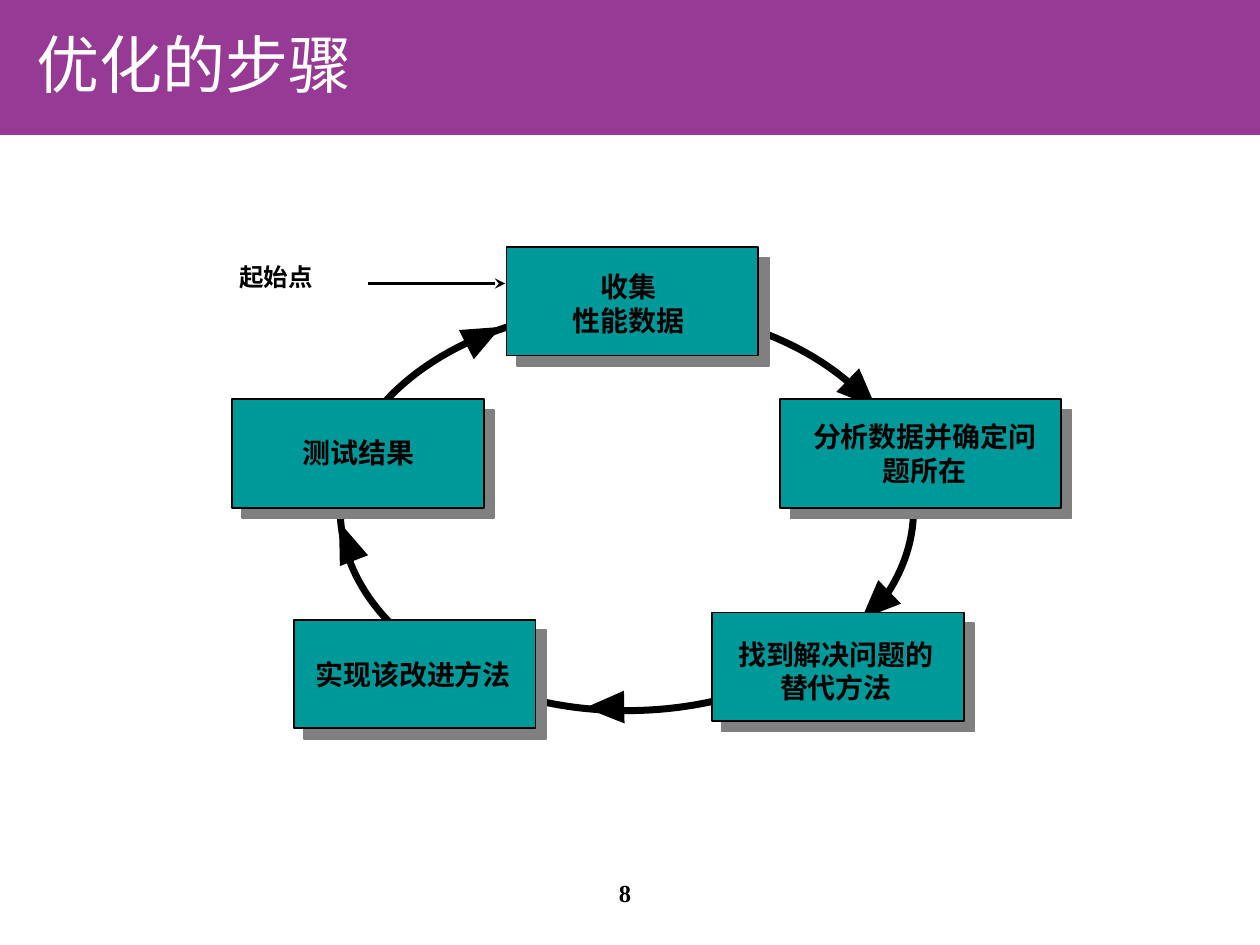
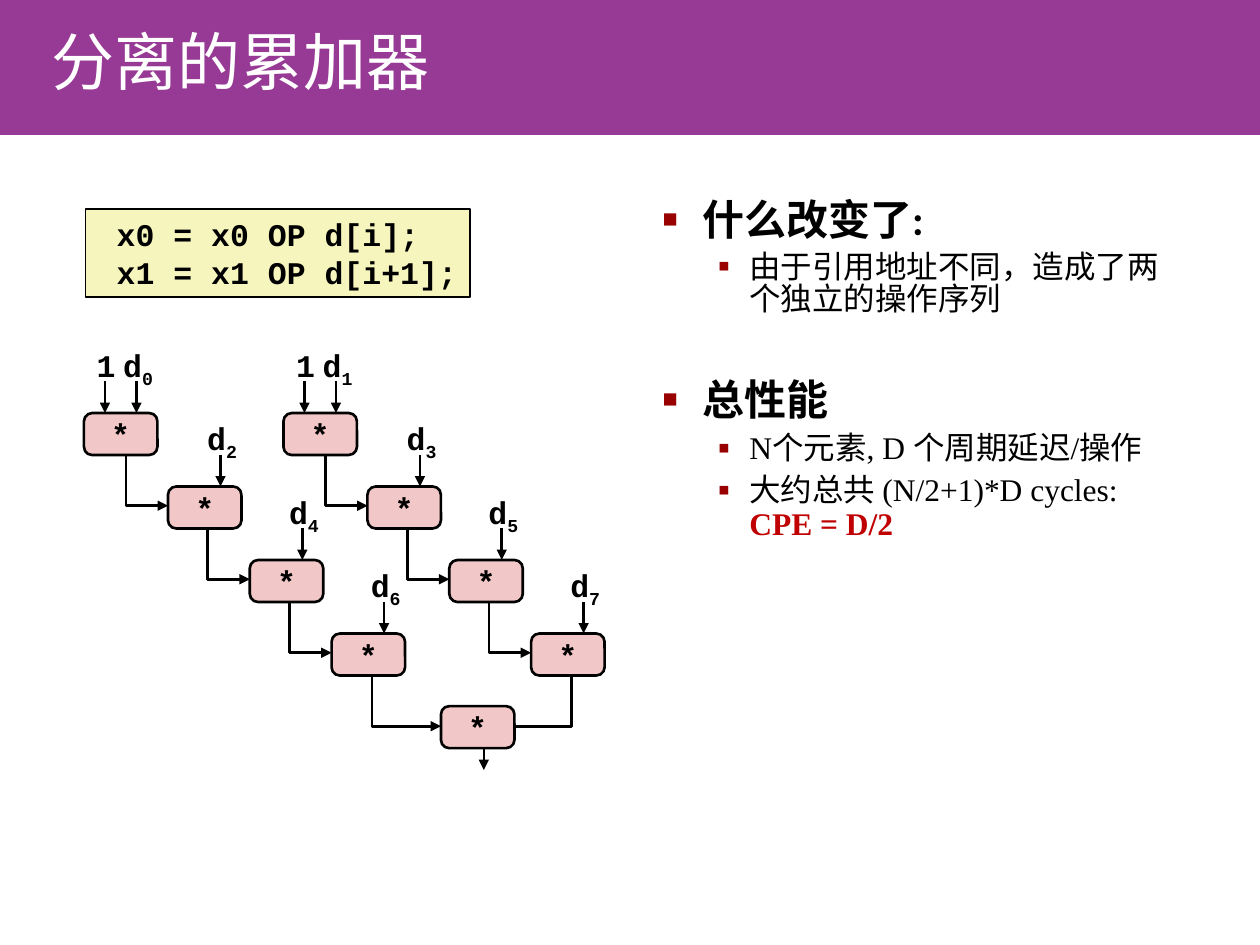
from dataclasses import dataclass
from typing import NamedTuple

from lxml import etree
from pptx import Presentation
from pptx.dml.color import RGBColor
from pptx.enum.shapes import MSO_CONNECTOR, MSO_SHAPE
from pptx.enum.text import MSO_ANCHOR, MSO_AUTO_SIZE, PP_ALIGN
from pptx.oxml.ns import qn
from pptx.util import Pt

LEFT, CENTER = PP_ALIGN.LEFT, PP_ALIGN.CENTER
TOP, MIDDLE = MSO_ANCHOR.TOP, MSO_ANCHOR.MIDDLE
RECTANGLE, ROUNDED = MSO_SHAPE.RECTANGLE, MSO_SHAPE.ROUNDED_RECTANGLE
OVAL, TRIANGLE = MSO_SHAPE.OVAL, MSO_SHAPE.ISOSCELES_TRIANGLE
STRAIGHT = MSO_CONNECTOR.STRAIGHT
NO_AUTOFIT = MSO_AUTO_SIZE.NONE

COLORS = {
    "band": "973A95", "white": "FFFFFF", "black": "000000", "step": "009999",
    "shadow": "808080", "node": "F1C7C7", "code": "F6F5BD",
    "bullet": "990000", "accent": "C00000",
}
HAN, SANS, SERIF, MONO = "Noto Sans CJK SC", "Arial", "Times New Roman", "Courier New"
TITLE_ONLY, TITLE_AND_BODY = 5, 1

NODE_WIDTH, NODE_HEIGHT, LEVEL_STEP, FIRST_LEVEL = 42, 24, 42, 236
LEVEL_LEFTS = (48, 96, 142.75, 189.5)
CHAIN_SHIFT = 114
INPUT_X, INPUT_LENGTH, ELBOW_X, ELBOW_Y = 30, 18, 24, 11


class Frame(NamedTuple):
    left: float
    top: float
    width: float
    height: float


class Point(NamedTuple):
    x: float
    y: float


@dataclass
class Step:
    frame: Frame
    label: Frame
    lines: tuple[str, ...]


@dataclass
class ArrowHead:
    frame: Frame
    rotation: float


@dataclass
class Bullet:
    text: str
    font: str
    level: int
    spacing: float
    before: float
    accent: str = ""


@dataclass
class BulletStyle:
    margin: float
    indent: float
    mark: str
    percent: int
    size: float


BULLET_STYLES = (BulletStyle(22.5, -22.5, "■", 60, 24), BulletStyle(49.5, -18, "▪", 110, 18))

STEPS = (
    Step(Frame(445.7, 228.2, 160.6, 62), Frame(452.9, 236.2, 151.2, 45.4), ("分析数据并确定问题所在",)),
    Step(Frame(132.5, 228.2, 144, 62), Frame(144.7, 245.5, 120.2, 26.6), ("测试结果",)),
    Step(Frame(167.8, 354.2, 138.2, 62), Frame(166.3, 372.2, 139.7, 26.6), ("实现该改进方法",)),
    Step(Frame(406.8, 350, 144, 62), Frame(413.7, 360.7, 128, 45.4), ("找到解决问题的替代方法",)),
    Step(Frame(289.4, 141.1, 144, 62), Frame(290.2, 150.5, 137.5, 45.4), ("收集", "性能数据")),
)
ARROW_HEADS = (
    ArrowHead(Frame(267.1, 180.7, 18.7, 22.3), 63),
    ArrowHead(Frame(189.4, 297.4, 17.3, 23.8), 339),
    ArrowHead(Frame(491, 334.8, 18.7, 22.3), 226),
    ArrowHead(Frame(336.2, 393.1, 18.7, 22.3), 269),
    ArrowHead(Frame(483.1, 213.8, 18.7, 22.3), 134),
)
BULLETS = (
    Bullet("什么改变了:", "Calibri", 0, 0.85, 0),
    Bullet("由于引用地址不同，造成了两个独立的操作序列", HAN, 1, 0.85, 4.5),
    Bullet("总性能", "Calibri", 0, 0.85, 37),
    Bullet("N个元素, D 个周期延迟/操作", SERIF, 1, 0.9, 4.5),
    Bullet("大约总共 (N/2+1)*D cycles:", SERIF, 1, 0.9, 4.5, "CPE = D/2"),
)


def rgb(name: str) -> RGBColor:
    return RGBColor.from_string(COLORS[name])


def points(frame: Frame) -> list:
    return [Pt(value) for value in frame]


def write_text(paragraph, text: str, *, font: str, size: float, color: str = "black",
               bold: bool = True, align=None, baseline: int = 0) -> None:
    if align is not None:
        paragraph.alignment = align
    run = paragraph.add_run()
    run.text = text
    run.font.name, run.font.size, run.font.bold = font, Pt(size), bold
    run.font.color.rgb = rgb(color)
    properties = run._r.get_or_add_rPr()
    etree.SubElement(properties, qn("a:ea"), typeface=HAN)
    if baseline:
        properties.set("baseline", str(baseline))


def set_frame(text_frame, wrap: bool, anchor=TOP, side: float = 7.2) -> None:
    text_frame.auto_size = NO_AUTOFIT
    text_frame.word_wrap = wrap
    text_frame.vertical_anchor = anchor
    text_frame.margin_left = text_frame.margin_right = Pt(side)
    text_frame.margin_top = text_frame.margin_bottom = Pt(3.6)


def write_lines(text_frame, lines: tuple[str, ...], **style) -> None:
    for index, line in enumerate(lines):
        paragraph = text_frame.add_paragraph() if index else text_frame.paragraphs[0]
        write_text(paragraph, line, **style)


def add_label(slide, frame: Frame, lines: tuple[str, ...], wrap: bool = True,
              side: float = 7.2, **style):
    text_frame = slide.shapes.add_textbox(*points(frame)).text_frame
    set_frame(text_frame, wrap, side=side)
    write_lines(text_frame, lines, align=CENTER, **style)
    return text_frame


def style_line(line, width: float, arrow: str = "") -> None:
    line.color.rgb = rgb("black")
    line.width = Pt(width)
    if arrow:
        etree.SubElement(line._get_or_add_ln(), qn("a:tailEnd"), type=arrow)


def draw_shape(slide, kind, frame: Frame, fill: str = "", line_width: float = 0):
    shape = slide.shapes.add_shape(kind, *points(frame))
    shape.shadow.inherit = False
    if fill:
        shape.fill.solid()
        shape.fill.fore_color.rgb = rgb(fill)
    else:
        shape.fill.background()
    if line_width:
        style_line(shape.line, line_width)
    else:
        shape.line.fill.background()
    return shape


def draw_arrow(slide, start: Point, end: Point, width: float = 1.5, head: str = "triangle") -> None:
    connector = slide.shapes.add_connector(STRAIGHT, *[Pt(value) for value in (*start, *end)])
    style_line(connector.line, width, head)
    etree.SubElement(connector._element.spPr, qn("a:effectLst"))


def draw_elbow(slide, start: Point, end: Point, head: str = "triangle") -> None:
    builder = slide.shapes.build_freeform(Pt(start.x), Pt(start.y))
    corner = Point(start.x, end.y)
    builder.add_line_segments([(Pt(point.x), Pt(point.y)) for point in (corner, end)], close=False)
    elbow = builder.convert_to_shape()
    elbow.shadow.inherit = False
    elbow.fill.background()
    style_line(elbow.line, 1.5, head)


def add_titled_slide(presentation, layout: int, title: str, frame: Frame):
    slide = presentation.slides.add_slide(presentation.slide_layouts[layout])
    band = draw_shape(slide, RECTANGLE, Frame(0, -0.7, 720, 77.8), "band")
    placeholder = slide.shapes.title
    placeholder.element.addprevious(band.element)
    placeholder.left, placeholder.top, placeholder.width, placeholder.height = points(frame)
    set_frame(placeholder.text_frame, True, MIDDLE)
    write_lines(placeholder.text_frame, (title,), font=HAN, size=36, color="white", bold=False, align=LEFT)
    return slide


def draw_step(slide, step: Step) -> None:
    box = draw_shape(slide, RECTANGLE, step.frame, "step", 1)
    shadow = etree.SubElement(box._element.spPr.find(qn("a:effectLst")), qn("a:outerShdw"),
                              dist=str(Pt(8.5)), dir="2700000", algn="ctr", rotWithShape="0")
    etree.SubElement(shadow, qn("a:srgbClr"), val=COLORS["shadow"])
    add_label(slide, step.label, step.lines, font=SANS, size=16)


def build_cycle(presentation) -> None:
    slide = add_titled_slide(presentation, TITLE_ONLY, "优化的步骤", Frame(13.7, 9.4, 472.3, 54))
    add_label(slide, Frame(282.2, 498.2, 149.8, 36), ("8",), font=SERIF, size=14)
    draw_shape(slide, OVAL, Frame(194.4, 176.4, 327.6, 229.7), line_width=4)
    for head in ARROW_HEADS:
        draw_shape(slide, TRIANGLE, head.frame, "black").rotation = head.rotation
    for step in STEPS:
        draw_step(slide, step)
    add_label(slide, Frame(108, 146.2, 99.4, 23.8), ("起始点",), font=SANS, size=14)
    draw_arrow(slide, Point(210.2, 162), Point(288.7, 162), 2, "stealth")


def draw_node(slide, left: float, top: float) -> None:
    node = draw_shape(slide, ROUNDED, Frame(left, top, NODE_WIDTH, NODE_HEIGHT), "node", 1.5)
    node.adjustments[0] = 0.196
    set_frame(node.text_frame, False, MIDDLE)
    write_lines(node.text_frame, ("*",), font=MONO, size=18, align=CENTER)


def draw_input(slide, x: float, bottom: float) -> None:
    draw_arrow(slide, Point(x, bottom - INPUT_LENGTH), Point(x, bottom))


def draw_chain(slide, chain: int) -> None:
    lefts = [left + chain * CHAIN_SHIFT for left in LEVEL_LEFTS]
    for level, left in enumerate(lefts):
        top = FIRST_LEVEL + level * LEVEL_STEP
        draw_node(slide, left, top)
        draw_input(slide, left + INPUT_X, top)
        operand = add_label(slide, Frame(left + 18.7, top - 42, 24.5, 31.7), ("d",), False, 3.6,
                            font=MONO, size=18)
        write_text(operand.paragraphs[0], str(2 * level + chain), font=MONO, size=18, baseline=-25000)
        if level:
            start = Point(left - ELBOW_X, top - LEVEL_STEP + NODE_HEIGHT)
            draw_elbow(slide, start, Point(left, top + ELBOW_Y))
        else:
            draw_input(slide, left + 12, top)
            add_label(slide, Frame(left + 3.6, top - 42, 18, 28.8), ("1",), False, 3.6,
                      font=MONO, size=18)


def draw_merge(slide) -> None:
    left, top = 252, 403.5
    chain_bottom = FIRST_LEVEL + 3 * LEVEL_STEP + NODE_HEIGHT
    exit_x = LEVEL_LEFTS[-1] + 23
    draw_arrow(slide, Point(276.5, 422), Point(276.5, 440))
    draw_elbow(slide, Point(exit_x, chain_bottom), Point(left, 415))
    draw_elbow(slide, Point(exit_x + CHAIN_SHIFT, chain_bottom), Point(left + NODE_WIDTH, 415), "")
    draw_node(slide, left, top)


def write_bullet(paragraph, bullet: Bullet) -> None:
    style = BULLET_STYLES[bullet.level]
    paragraph.level = bullet.level
    paragraph.line_spacing = bullet.spacing
    paragraph.space_before = Pt(bullet.before)
    properties = paragraph._p.get_or_add_pPr()
    properties.set("marL", str(Pt(style.margin)))
    properties.set("indent", str(Pt(style.indent)))
    color = etree.SubElement(properties, qn("a:buClr"))
    etree.SubElement(color, qn("a:srgbClr"), val=COLORS["bullet"])
    etree.SubElement(properties, qn("a:buSzPct"), val=str(style.percent * 1000))
    etree.SubElement(properties, qn("a:buChar"), char=style.mark)
    write_text(paragraph, bullet.text, font=bullet.font, size=style.size, bold=bullet.level == 0)
    if bullet.accent:
        paragraph.add_line_break()
        write_text(paragraph, bullet.accent, font=bullet.font, size=style.size, color="accent")


def build_accumulators(presentation) -> None:
    slide = add_titled_slide(presentation, TITLE_AND_BODY, "分离的累加器", Frame(22.3, 4.3, 597.6, 59.8))
    for chain in range(2):
        draw_chain(slide, chain)
    draw_merge(slide)
    code = draw_shape(slide, RECTANGLE, Frame(48.8, 119.5, 219.6, 50.2), "code", 1)
    set_frame(code.text_frame, False)
    write_lines(code.text_frame, (" x0 = x0 OP d[i];", " x1 = x1 OP d[i+1];"),
                font=MONO, size=18, align=LEFT)
    body = slide.placeholders[1]
    body.left, body.top, body.width, body.height = points(Frame(371.5, 111.6, 311, 246.2))
    set_frame(body.text_frame, True)
    for index, bullet in enumerate(BULLETS):
        paragraph = body.text_frame.add_paragraph() if index else body.text_frame.paragraphs[0]
        write_bullet(paragraph, bullet)


def main() -> None:
    presentation = Presentation()
    presentation.slide_width, presentation.slide_height = Pt(720), Pt(540)
    build_cycle(presentation)
    build_accumulators(presentation)
    presentation.save("out.pptx")


if __name__ == "__main__":
    main()
